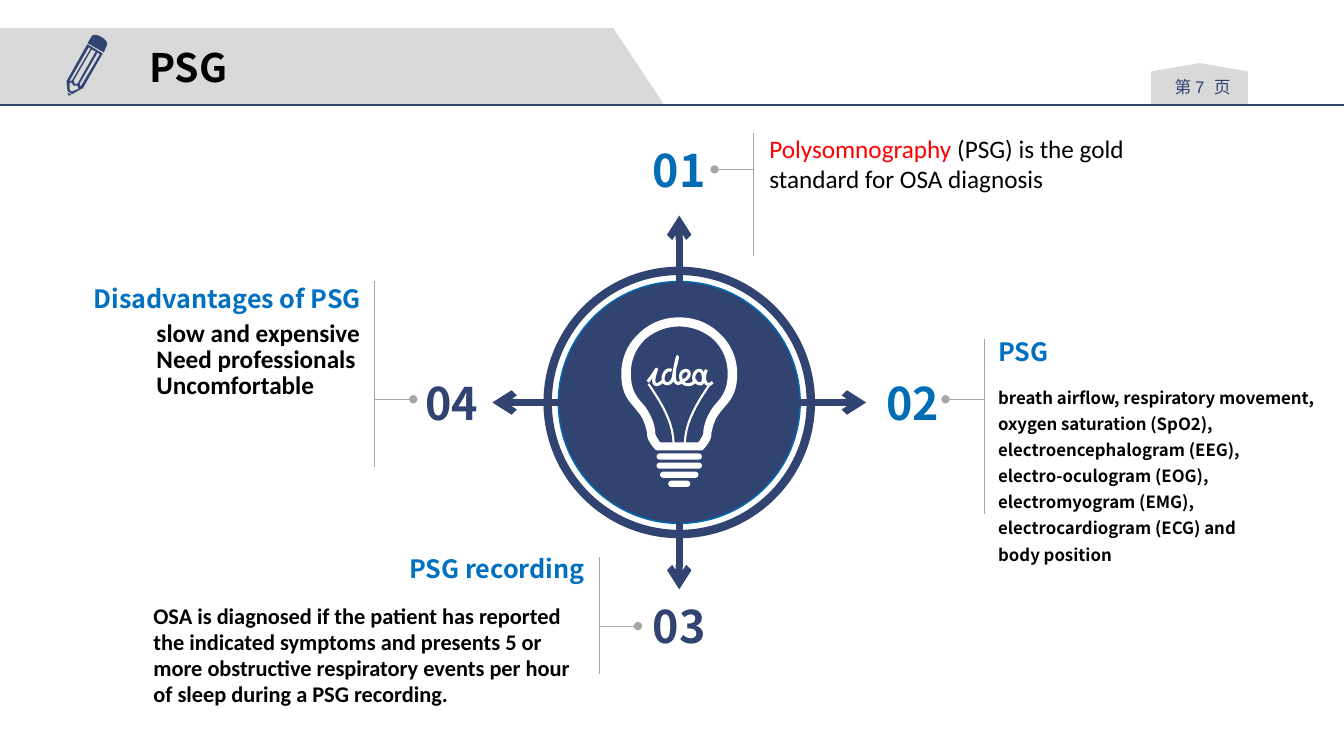
from collections import namedtuple
from dataclasses import dataclass

from lxml.etree import SubElement
from pptx import Presentation
from pptx.dml.color import RGBColor
from pptx.enum.shapes import MSO_CONNECTOR, MSO_SHAPE
from pptx.enum.text import MSO_ANCHOR, PP_ALIGN
from pptx.oxml.ns import qn
from pptx.util import Pt

Box = namedtuple("Box", "left top width height")
Callout = namedtuple("Callout", "number color box side gap drop bar heading heading_box body body_box format")


@dataclass(frozen=True)
class Theme:
    """Colours, fonts and type sizes."""
    navy: str = "314371"
    blue: str = "006CB5"
    heading_blue: str = "0070C0"
    red: str = "FF0000"
    gray: str = "D9D9D9"
    rule_gray: str = "A6A6A6"
    black: str = "000000"
    white: str = "FFFFFF"
    sans: str = "Noto Sans CJK SC"
    title_font: str = "Noto Sans CJK JP"
    body_font: str = "Calibri"
    page_font: str = "Arial"
    title: int = 28
    number: int = 32
    heading: int = 18
    text: int = 16
    small: int = 12


THEME = Theme()


def add_text(slide, box, paras, size=THEME.heading, color=THEME.black, font=THEME.sans, bold=False,
             align=PP_ALIGN.LEFT, anchor=MSO_ANCHOR.TOP, spacing=None, margin=0, wrap=True):
    """Add a text box; each paragraph is a string or a list of (text, changes) spans."""
    frame = slide.shapes.add_textbox(*map(Pt, box)).text_frame
    frame.word_wrap, frame.vertical_anchor = wrap, anchor
    frame.margin_left = frame.margin_right = Pt(margin)
    frame.margin_top = frame.margin_bottom = Pt(margin / 2)
    for index, spans in enumerate(paras):
        para = frame.add_paragraph() if index else frame.paragraphs[0]
        para.alignment = align
        if spacing:
            para.line_spacing = Pt(spacing)
        for text, changes in [(spans, {})] if isinstance(spans, str) else spans:
            span = para.add_run()
            span.text = text
            span.font.size, span.font.bold = Pt(size), bold
            span.font.color.rgb = RGBColor.from_string(changes.get("color", color))
            span.font.name = changes.get("font", font)
            SubElement(span.font._element, qn("a:ea"), typeface=span.font.name)


def paint(shape, fill=None, line=None, width=1):
    """Set fill and line of a shape and drop its shadow."""
    shape.shadow.inherit = False
    if fill:
        shape.fill.solid()
        shape.fill.fore_color.rgb = RGBColor.from_string(fill)
    else:
        shape.fill.background()
    if line:
        shape.line.color.rgb = RGBColor.from_string(line)
        shape.line.width = Pt(width)
    else:
        shape.line.fill.background()


def add_preset(slide, kind, box, **colors):
    """Add a preset shape."""
    shape = slide.shapes.add_shape(kind, *map(Pt, box))
    paint(shape, **colors)
    return shape


def add_outline(slide, origin, contours, closed=True, **colors):
    """Add one freeform made of contours measured from the origin."""
    builder = None
    for contour in contours:
        points = [(Pt(origin[0] + x), Pt(origin[1] + y)) for x, y in contour]
        if builder is None:
            builder = slide.shapes.build_freeform(*points[0], scale=1.0)
        else:
            builder.move_to(*points[0])
        builder.add_line_segments(points[1:], close=closed)
    paint(builder.convert_to_shape(), **colors)


def add_line(slide, start, end, color, width, end_mark=None):
    """Add a straight line with an optional mark at its end."""
    line = slide.shapes.add_connector(MSO_CONNECTOR.STRAIGHT, *map(Pt, (*start, *end)))
    line.line.color.rgb = RGBColor.from_string(color)
    line.line.width = Pt(width)
    if end_mark:
        SubElement(line.line._get_or_add_ln(), qn("a:tailEnd"), type=end_mark)
    SubElement(line._element.spPr, qn("a:effectLst"))


def curve(points, steps=10):
    """Sample a chain of cubic curves: a start, then three points a curve."""
    sampled = [points[0]]
    for first in range(0, len(points) - 1, 3):
        for step in range(1, steps + 1):
            t = step / steps
            weights = ((1 - t) ** 3, 3 * t * (1 - t) ** 2, 3 * t * t * (1 - t), t ** 3)
            sampled.append(tuple(sum(w * point[axis] for w, point in zip(weights, points[first:first + 4]))
                                 for axis in (0, 1)))
    return sampled


def mirrored(half):
    """Complete a right half outline with its mirror about x = 0."""
    return half + [(-x, y) for x, y in reversed(half[1:])]


def draw_pencil(slide, box):
    """Draw the pencil icon."""
    eraser = curve([(18, 3.6), (20.2, 0), (31, 6.5), (28.8, 10.1)]) + [(26.7, 15.1), (15.1, 8.6)]
    body = [
        [(0, 35.3), (0.7, 42.5), (1.5, 43.2), (3.6, 44.7), (4.4, 44.7), (10.8, 41.1), (11.5, 41.1),
         (25.9, 15.9), (15.1, 9.4), (14.4, 10.1), (0.7, 34.6)],
        [(2.2, 35.3), (15.9, 11.5), (17.3, 12.3), (4.3, 34.6), (3.5, 35.6)],
        [(3.6, 43.2), (2.2, 41.8), (2.2, 36.7), (3.6, 36.7), (5.1, 38.9), (7.9, 38.9), (8.7, 41.1)],
        [(5.1, 35.3), (18, 13), (20.9, 14.4), (7.9, 37.5), (5.8, 37.5)],
        [(10.1, 39.6), (9.4, 37.5), (22.3, 15.1), (23.8, 16.6)]]
    tip = [(3.6, 45.4), (0.7, 43.9), (1.5, 46.1)]
    for contours in ([eraser], body, [tip]):
        add_outline(slide, box[:2], contours, fill=THEME.navy)


def draw_header(slide, box):
    """Draw the title band, the page badge and the rule below them."""
    bottom = box.top + box.height
    add_outline(slide, box[:2], [[(0, 0), (438, 0), (474.5, box.height), (0, box.height)]], fill=THEME.gray)
    badge = add_preset(slide, MSO_SHAPE.FLOWCHART_OFFPAGE_CONNECTOR, Box(822.2, bottom - 30, 69.2, 30),
                       fill=THEME.gray)
    badge.rotation = 180
    add_text(slide, Box(826.5, bottom - 23, 65, 21.6),
             [[("第 ", {}), ("7  ", {"font": THEME.page_font}), ("页", {})]],
             size=THEME.small, color=THEME.navy, align=PP_ALIGN.CENTER, margin=5)
    add_line(slide, (box.left, bottom), (box.left + box.width, bottom), THEME.navy, 1)
    draw_pencil(slide, Box(box.left + 47.5, box.top + 2.3, 31, 46))
    add_text(slide, Box(box.left + 99.4, box.top + 7.4, 71, 41), ["PSG"], size=THEME.title,
             font=THEME.title_font, bold=True, anchor=MSO_ANCHOR.MIDDLE, margin=7.2, wrap=False)


def draw_bulb(slide, box):
    """Draw the idea bulb about the middle of its box."""
    origin = (box.left + box.width / 2, box.top)
    glass = curve([(0, 0), (11.5, 0), (21.6, 4.3), (28.8, 11.5), (36.7, 18.7), (41.4, 28.8), (41.4, 40.3),
                   (41.4, 54), (36.7, 59), (31.7, 64.8), (29.5, 67.7), (26.6, 70.6), (25.2, 74.9),
                   (23.8, 77.8), (23.8, 80), (23, 82.1), (23, 85), (23, 87.8), (17.3, 94.3),
                   (16.6, 95), (15.8, 95), (14.4, 95)])
    hollow = curve([(0, 6.5), (9.4, 6.5), (18, 10.1), (24.5, 15.8), (31, 22.3), (34.6, 30.2), (34.6, 40.3),
                    (34.6, 51.1), (31, 56.2), (26.6, 61.2), (23.8, 64.1), (21.6, 67.7), (19.4, 72.7),
                    (18, 76.3), (17.3, 79.2), (17.3, 81.4), (17.3, 83.5), (16.6, 85), (13.7, 89.3)])
    add_outline(slide, origin, [mirrored(glass), mirrored(hollow)], fill=THEME.white)
    filament = curve([(22, 47.5), (13.5, 60), (4.4, 74), (4, 90)])
    add_outline(slide, origin, [filament, [(-x, y) for x, y in filament]], closed=False,
                line=THEME.white, width=1.5)
    lettering = [
        [(-22.5, 46), (-20, 43), (-18, 40), (-16.2, 37), (-17.5, 41), (-20, 48), (-16, 48),
         (-14.5, 48), (-13, 46.5), (-11.5, 45.5)],
        [(-5.5, 38), (-9, 36), (-12, 41), (-11.5, 44.5), (-11, 49), (-5, 48.5), (-4, 42),
         (-3.5, 36), (-1.5, 32), (-1.3, 28), (-2, 32), (-4, 38), (-3.5, 43), (-3.2, 48), (0, 48), (2.3, 45.5),
         (6, 44), (7.5, 42), (7, 39.5), (6, 36.5), (1, 38), (1, 42), (1, 49), (8, 49.5), (11, 46),
         (9, 42), (12, 37), (15, 38), (18, 39), (18, 47), (15.5, 47.5), (13, 47.5), (11, 46), (11, 44)],
        [(19.5, 37.5), (17, 42), (18, 48), (21, 48), (22, 48), (23, 47), (24, 46.5)]]
    add_outline(slide, origin, map(curve, lettering), closed=False, line=THEME.white, width=2.2)
    for row, width in enumerate((32.4, 32.4, 27.4, 15.8)):
        bar = add_preset(slide, MSO_SHAPE.ROUNDED_RECTANGLE,
                         Box(origin[0] - width / 2, box.top + 97.2 + 6.5 * row, width, 4.4), fill=THEME.white)
        bar.adjustments[0] = 0.5


def draw_hub(slide, box):
    """Draw the ringed disc with four arrows and the bulb."""
    x, y = box.left + box.width / 2, box.top + box.height / 2
    add_preset(slide, MSO_SHAPE.OVAL, box, line=THEME.navy, width=6)
    add_preset(slide, MSO_SHAPE.OVAL, Box(x - 86.4, y - 86.4, 172.8, 172.8), fill=THEME.navy, line=THEME.blue)
    for across, down in ((0, -1), (1, 0), (0, 1), (-1, 0)):
        add_line(slide, (x + 75 * across, y + 75 * down), (x + 133.5 * across, y + 133.5 * down),
                 THEME.navy, 5, "arrow")
    draw_bulb(slide, Box(x - 41.4, y - 60.8, 82.8, 121.6))


def draw_callout(slide, callout):
    """Draw a number with its leader, bar, heading and body; text boxes are measured from the bar top."""
    box, side = callout.box, callout.side
    add_text(slide, box, [callout.number], size=THEME.number, color=callout.color, bold=True,
             align=PP_ALIGN.CENTER, anchor=MSO_ANCHOR.MIDDLE)
    dot = box.left + box.width / 2 + side * (box.width / 2 + callout.gap)
    leader = box.top + box.height / 2 + callout.drop
    bar = dot + side * 27.6
    top = box.top + callout.bar[0]
    add_line(slide, (bar, top), (bar, top + callout.bar[1]), THEME.rule_gray, 0.75)
    add_line(slide, (bar, leader), (dot, leader), THEME.rule_gray, 0.75, "oval")
    if callout.heading:
        left, down, *extent = callout.heading_box
        add_text(slide, Box(bar + left, top + down, *extent), [callout.heading], color=THEME.heading_blue,
                 bold=True, align=PP_ALIGN.LEFT if side > 0 else PP_ALIGN.RIGHT, anchor=MSO_ANCHOR.MIDDLE)
    left, down, *extent = callout.body_box
    add_text(slide, Box(bar + left, top + down, *extent), callout.body, **callout.format)


CALLOUTS = [
    Callout("01", THEME.blue, Box(460, 101.5, 50.4, 39), 1, 0, 0, (-6.5, 88), None, None,
            [[("Polysomnography", {"color": THEME.red}), (" (PSG) is the gold standard for OSA diagnosis", {})]],
            Box(11.5, 0, 291.6, 44), {"font": THEME.body_font}),
    Callout("02", THEME.blue, Box(627, 268, 50.4, 39), 1, -2, -2.3, (-26, 125), "PSG", Box(10, -1.5, 146, 21.6),
            ["breath airflow, respiratory movement,", "oxygen saturation (SpO2), electroencephalogram (EEG),",
             "electro-oculogram (EOG),", "electromyogram (EMG), electrocardiogram (ECG) and", "body position"],
            Box(10, 31, 239, 132.5), {"size": THEME.small, "bold": True, "spacing": 18.6}),
    Callout("03", THEME.navy, Box(460, 427.7, 50.4, 39), -1, 4.3, 0, (-29.5, 83.5), "PSG recording",
            Box(-156.5, -3, 146, 21.6),
            ["OSA is diagnosed if the patient has reported the indicated symptoms and presents 5 or more "
             "obstructive respiratory events per hour of sleep during a PSG recording."],
            Box(-318.5, 32.4, 306, 77), {"size": THEME.text, "font": THEME.body_font, "bold": True, "spacing": 18.6}),
    Callout("04", THEME.navy, Box(297.4, 268, 50.4, 39), -1, 2.2, -2.3, (-67, 132.5), "Disadvantages of PSG",
            Box(-225, 1.3, 215.3, 21.6), ["slow and expensive", "Need professionals", "Uncomfortable"],
            Box(-155.8, 28.7, 210, 75),
            {"font": THEME.body_font, "bold": True, "spacing": 18.6, "align": PP_ALIGN.JUSTIFY}),
]


def main():
    """Build the deck and save it."""
    deck = Presentation()
    deck.slide_width, deck.slide_height = Pt(960), Pt(540)
    slide = deck.slides.add_slide(deck.slide_layouts[6])
    draw_header(slide, Box(0, 20, 960, 55))
    draw_hub(slide, Box(391.2, 193.5, 188, 188))
    for callout in CALLOUTS:
        draw_callout(slide, callout)
    deck.save("out.pptx")


if __name__ == "__main__":
    main()
